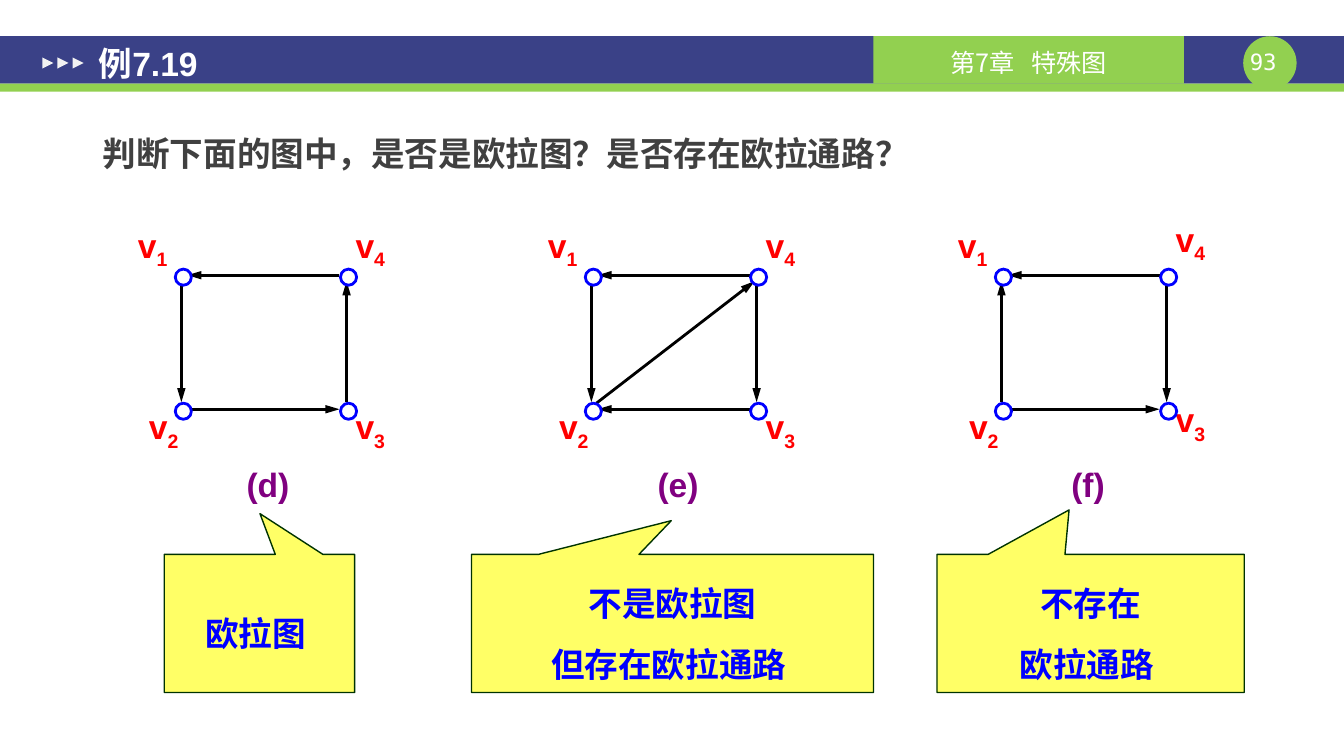
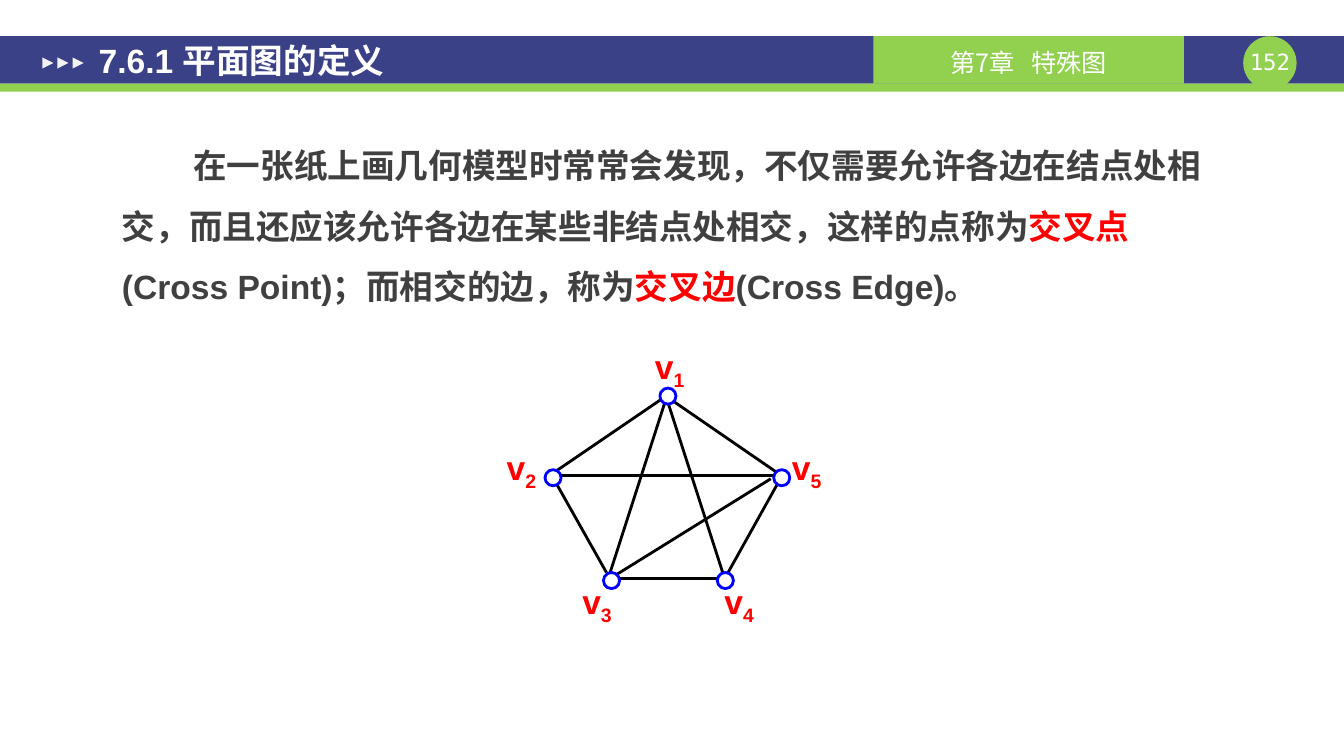
from lxml import etree
from pptx import Presentation
from pptx import util as u
from pptx.dml import color as c
from pptx.enum import shapes, text
from pptx.oxml import ns

PX = 9144  # 100 px to the inch
COLOURS = {
    "navy": "3A4187", "green": "92D050", "pale": "F2F2F2", "white": "FFFFFF",
    "body": "404040", "red": "FF0000", "purple": "800080", "blue": "0000FF",
    "yellow": "FFFF66", "edge": "003300", "black": "000000",
}
STRONG = {"name": "Arial", "size": u.Pt(24), "bold": True}
CHAPTER = {"name": "Noto Sans CJK SC", "size": u.Pt(18), "bold": False}
NUMBER = {"name": "DejaVu Sans Mono", "size": u.Pt(16), "bold": False}
SHAPE = shapes.MSO_SHAPE
LEFT, CENTER = text.PP_ALIGN.LEFT, text.PP_ALIGN.CENTER
TOP, MIDDLE = text.MSO_ANCHOR.TOP, text.MSO_ANCHOR.MIDDLE
TITLE_INSETS = (13, 7, 13, 7)


def add_block(page, kind, area, fill, line=None, weight=1):
    """Add a filled preset shape, outlined only when a line colour is given."""
    block = page.shapes.add_shape(kind, *(v * PX for v in area))
    block.shadow.inherit = False
    block.fill.solid()
    block.fill.fore_color.rgb = c.RGBColor.from_string(COLOURS[fill])
    if line:
        block.line.color.rgb = c.RGBColor.from_string(COLOURS[line])
        block.line.width = u.Pt(weight)
    else:
        block.line.fill.background()
    return block


def write(box, paras, style=STRONG, align=LEFT, anchor=TOP, insets=(0, 0, 0, 0),
          spacing=1.0, indent=0):
    """Fill a box with paragraphs of (text, colour, extra run attributes)."""
    frame = box.text_frame
    settings = dict(zip(("margin_left", "margin_top", "margin_right", "margin_bottom"),
                        (v * PX for v in insets)))
    settings.update(word_wrap=True, vertical_anchor=anchor)
    for name, value in settings.items():
        setattr(frame, name, value)
    for i, spans in enumerate(paras):
        para = frame.paragraphs[0] if i == 0 else frame.add_paragraph()
        para.alignment, para.line_spacing = align, spacing
        if indent:
            para._p.get_or_add_pPr().set("indent", str(indent * PX))
        for words, colour, extra in spans:
            span = para.add_run()
            span.text = words
            for name, value in style.items():
                setattr(span.font, name, value)
            span.font.color.rgb = c.RGBColor.from_string(COLOURS[colour])
            for name, value in extra.items():
                span._r.get_or_add_rPr().set(name, value)


deck = Presentation()
deck.slide_width, deck.slide_height = 1334 * PX, 750 * PX

# Header band, title and opening text of both pages
PAGES = [
    ("例7.19", 39, "93 ", (89, 117, 1176, 164), 1.2, 0,
     [("判断下面的图中，是否是欧拉图？是否存在欧拉通路？", "body", {})]),
    ("7.6.1 平面图的定义", 36, "152 ", (108, 117, 1101, 308), 1.5, 71,
     [("在一张纸上画几何模型时常常会发现，不仅需要允许各边在结点处相交，"
       "而且还应该允许各边在某些非结点处相交，这样的点称为", "body", {}),
      ("交叉点", "red", {}),
      ("(Cross Point)；而相交的边，称为", "body", {}),
      ("交叉边", "red", {}),
      ("(Cross Edge)。", "body", {})]),
]
pages = []
for title, title_top, number, body_area, spacing, indent, body in PAGES:
    page = deck.slides.add_slide(deck.slide_layouts[6])
    pages.append(page)
    add_block(page, SHAPE.RECTANGLE, (0, 36, 1334, 47), "navy")
    add_block(page, SHAPE.OVAL, (1234, 36, 53, 53), "green")
    add_block(page, SHAPE.RECTANGLE, (0, 83, 1334, 8), "green")
    chapter = add_block(page, SHAPE.RECTANGLE, (867, 36, 308, 47), "green")
    write(chapter, [[("第7章", "white", {}), (" ", "white", {"spc": "800"}),
                     ("特殊图", "white", {})]],
          CHAPTER, CENTER, MIDDLE, (10, 4, 10, 0))
    for i in range(3):
        marker = add_block(page, SHAPE.ISOSCELES_TRIANGLE, (42 + 15 * i, 57, 11, 11), "pale")
        marker.rotation = 90
    number_box = page.shapes.add_textbox(*(v * PX for v in (1234, 48, 53, 27)))
    write(number_box, [[(number, "white", {})]], NUMBER, CENTER)
    title_box = page.shapes.add_textbox(*(v * PX for v in (85, title_top, 583, 47)))
    write(title_box, [[(title, "white", {})]], anchor=MIDDLE, insets=TITLE_INSETS)
    body_box = page.shapes.add_textbox(*(v * PX for v in body_area))
    write(body_box, [body], insets=TITLE_INSETS, spacing=spacing, indent=indent)
euler, planar = pages

# Answers in callouts
CALLOUTS = [
    (163, 189, (0.003, -0.795), ["欧拉图 "]),
    (468, 399, (-0.003, -0.744), ["不是欧拉图", "但存在欧拉通路 "]),
    (930, 305, (-0.07, -0.822), ["不存在", "欧拉通路 "]),
]
for left, width, tip, lines in CALLOUTS:
    callout = add_block(euler, SHAPE.RECTANGULAR_CALLOUT, (left, 550, width, 137),
                        "yellow", "edge")
    callout.adjustments[0], callout.adjustments[1] = tip
    write(callout, [[(line, "blue", {})] for line in lines], align=CENTER,
          anchor=MIDDLE, insets=(10, 5, 10, 5), spacing=1.5)

# Graph parts: edges (page, ends, arrow), labels and nodes
edges, labels, nodes = [], [], []

# Three directed squares; x is measured from the left of node v1
SIDES = {"top": (12, 273, 163, 273), "left": (6, 279, 6, 399),
         "bottom": (12, 406, 163, 406), "right": (170, 279, 170, 399),
         "diagonal": (168, 279, 11, 400)}
FIGURES = [  # caption, sides, sides whose arrow sits at the start
    ("(d)", ("top", "left", "bottom", "right"), ("top", "right")),
    ("(e)", ("top", "left", "bottom", "right", "diagonal"), ("top", "bottom", "diagonal")),
    ("(f)", ("top", "left", "bottom", "right"), ("top", "left")),
]
CORNERS = {"1": (-43, 223), "2": (-32, 403), "3": (173, 403), "4": (173, 223)}
RAISED = {("(f)", "3"): 7, ("(f)", "4"): 6}
for i, (caption, sides, reverse) in enumerate(FIGURES):
    x = 174 + 407 * i
    for side in sides:
        x1, y1, x2, y2 = SIDES[side]
        ends = (x + x1, y1, x + x2, y2)
        edges.append((euler, ends[2:] + ends[:2] if side in reverse else ends, True))
    for digit, (dx, y) in CORNERS.items():
        labels.append((euler, (x + dx, y - RAISED.get((caption, digit), 0), 41, 40),
                       digit, CENTER))
    nodes += [(euler, x + dx, y) for dx in (0, 164) for y in (267, 400)]
    caption_box = euler.shapes.add_textbox(*(v * PX for v in (x + 58, 460, 68, 40)))
    write(caption_box, [[(caption, "purple", {})]], align=CENTER)

# Pentagon with crossing edges
edges += [(planar, ends, False) for ends in (
    (557, 472, 769, 472), (661, 396, 604, 573), (661, 393, 718, 570),
    (765, 475, 612, 570), (661, 393, 548, 470), (774, 476, 721, 571),
    (610, 574, 717, 574), (661, 393, 773, 470), (549, 474, 602, 568))]
VERTICES = [(655, 385, 650, 343), (541, 466, 503, 443), (599, 568, 578, 576),
            (712, 568, 719, 576), (768, 466, 786, 443)]
for i, (x, y, label_x, label_y) in enumerate(VERTICES, 1):
    nodes.append((planar, x, y))
    labels.append((planar, (label_x, label_y, 47, 40), str(i), LEFT))

# Draw the graph parts, nodes on top
for page, area, digit, align in labels:
    label = page.shapes.add_textbox(*(v * PX for v in area))
    write(label, [[("v", "red", {}), (digit, "red", {"baseline": "-25000"})]], align=align)
for page, ends, arrow in edges:
    edge = page.shapes.add_connector(shapes.MSO_CONNECTOR.STRAIGHT, *(v * PX for v in ends))
    edge.line.color.rgb = c.RGBColor.from_string(COLOURS["black"])
    edge.line.width = u.Pt(2)
    if arrow:
        etree.SubElement(edge.line._get_or_add_ln(), ns.qn("a:tailEnd"),
                         type="triangle", w="med", len="lg")
    etree.SubElement(edge._element.spPr, ns.qn("a:effectLst"))
for page, x, y in nodes:
    add_block(page, SHAPE.OVAL, (x, y, 16, 16), "white", "blue", 2)

deck.save("out.pptx")
